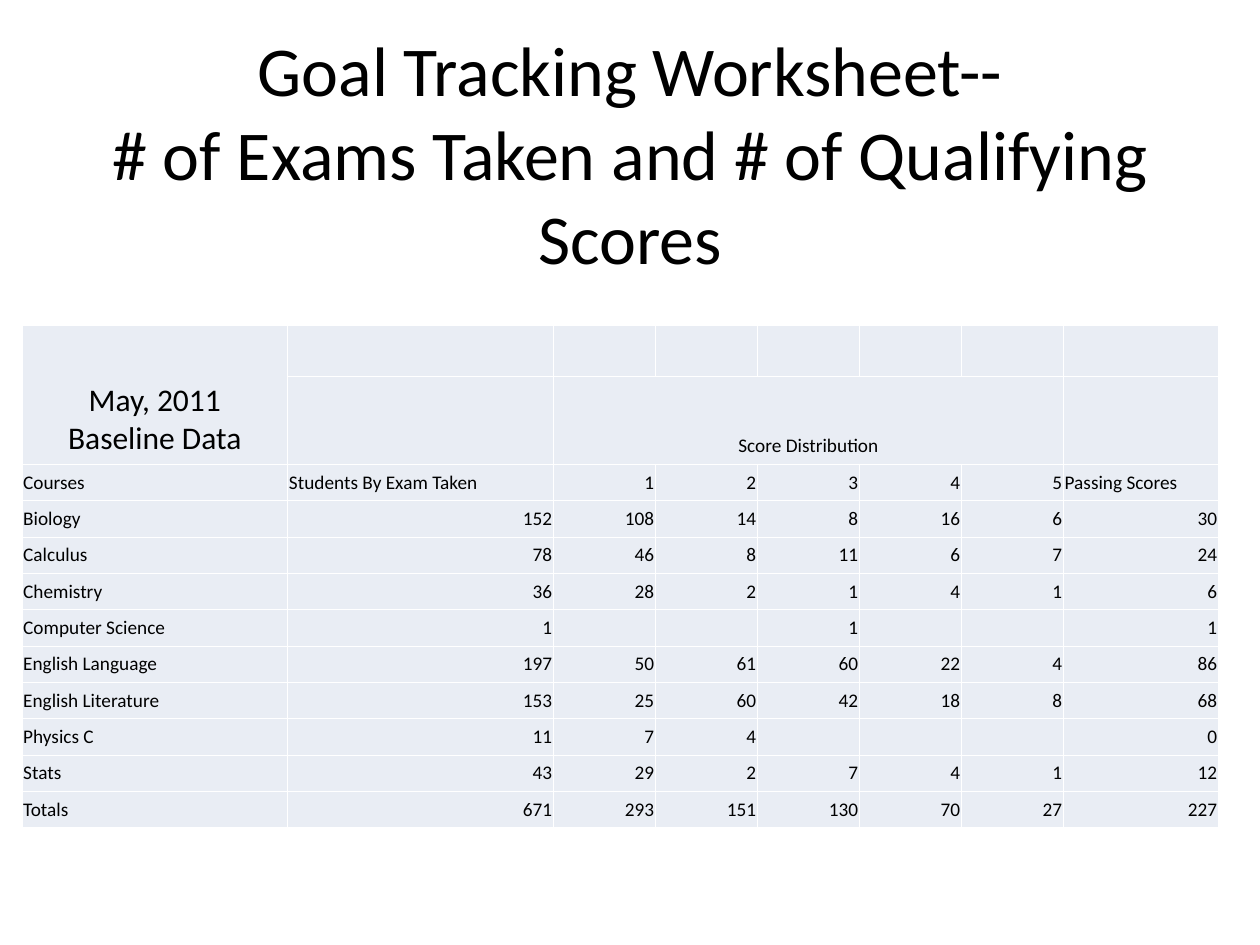
from lxml import etree
from pptx import Presentation
from pptx.dml.color import RGBColor
from pptx.enum import text
from pptx.oxml import ns
from pptx.util import Pt

BLACK = RGBColor(0x00, 0x00, 0x00)
WHITE = RGBColor(0xFF, 0xFF, 0xFF)
PALE = RGBColor(0xE9, 0xED, 0xF4)
FACE = "Calibri"
LEFT, MID, RIGHT = text.PP_ALIGN.LEFT, text.PP_ALIGN.CENTER, text.PP_ALIGN.RIGHT

TITLE = "Goal Tracking Worksheet--\v# of Exams Taken and # of Qualifying Scores"
WIDTHS = [151.9, 151.9] + [58.3] * 5 + [88.6]
HEIGHTS = [20.8, 44.2] + [20.8] * 10
ROWS = [
    ["May, 2011\nBaseline Data"] + [""] * 7,
    ["", "", "Score Distribution"] + [""] * 5,
    ["Courses", "Students By Exam Taken", "1", "2", "3", "4", "5", "Passing Scores"],
    ["Biology", "152", "108", "14", "8", "16", "6", "30"],
    ["Calculus", "78", "46", "8", "11", "6", "7", "24"],
    ["Chemistry", "36", "28", "2", "1", "4", "1", "6"],
    ["Computer Science", "1", "", "", "1", "", "", "1"],
    ["English Language", "197", "50", "61", "60", "22", "4", "86"],
    ["English Literature", "153", "25", "60", "42", "18", "8", "68"],
    ["Physics C", "11", "7", "4", "", "", "", "0"],
    ["Stats", "43", "29", "2", "7", "4", "1", "12"],
    ["Totals", "671", "293", "151", "130", "70", "27", "227"],
]


def style(para, size, align):
    """Set the font and alignment of a paragraph."""
    para.alignment = align
    font = para.font
    font.name, font.size = FACE, Pt(size)
    font.color.rgb = BLACK


def title(slide, x, y, w, h):
    """Place the centred slide title in its box."""
    frame = slide.shapes.add_textbox(Pt(x), Pt(y), Pt(w), Pt(h)).text_frame
    frame.word_wrap = True
    frame.vertical_anchor = text.MSO_ANCHOR.MIDDLE
    frame.text = ""
    para = frame.paragraphs[0]
    para.text = TITLE
    style(para, 40, MID)


def border(cell):
    """Draw thin white lines on all four sides of a cell."""
    props = cell._tc.get_or_add_tcPr()
    for side in ("a:lnL", "a:lnR", "a:lnT", "a:lnB"):
        line = etree.SubElement(props, ns.qn(side), w=str(Pt(0.45)))
        fill = etree.SubElement(line, ns.qn("a:solidFill"))
        etree.SubElement(fill, ns.qn("a:srgbClr"), val=str(WHITE))


def fill_cell(cell, words, size, align):
    """Write and format one table cell."""
    border(cell)
    cell.fill.solid()
    cell.fill.fore_color.rgb = PALE
    cell.vertical_anchor = text.MSO_ANCHOR.BOTTOM
    cell.margin_left = cell.margin_right = Pt(0.75)
    cell.margin_top = cell.margin_bottom = Pt(3.6)
    cell.text = words
    for para in cell.text_frame.paragraphs:
        style(para, size, align)
        if not words:
            etree.SubElement(para._p, ns.qn("a:endParaRPr"), sz=str(size * 100))


def scores(slide, x, y):
    """Place the table of exam results with its merged headings."""
    frame = slide.shapes.add_table(len(ROWS), len(WIDTHS), Pt(x), Pt(y),
                                   Pt(sum(WIDTHS)), Pt(sum(HEIGHTS)))
    table = frame.table
    table.first_row = table.horz_banding = False
    for col, width in zip(table.columns, WIDTHS):
        col.width = Pt(width)
    for row, height in zip(table.rows, HEIGHTS):
        row.height = Pt(height)
    for r, row in enumerate(ROWS):
        for c, words in enumerate(row):
            big = r < 2 and words != "Score Distribution"
            align = MID if r < 2 else RIGHT if words.isdigit() else LEFT
            fill_cell(table.cell(r, c), words, 18 if big else 11, align)
    table.cell(0, 0).merge(table.cell(1, 0))
    table.cell(1, 2).merge(table.cell(1, 6))


def main():
    """Build the slide and save it."""
    deck = Presentation()
    deck.slide_width, deck.slide_height = Pt(720), Pt(540)
    slide = deck.slides.add_slide(deck.slide_layouts[6])
    title(slide, 36, 42, 648, 90)
    scores(slide, 12.5, 186)
    deck.save("out.pptx")


if __name__ == "__main__":
    main()
